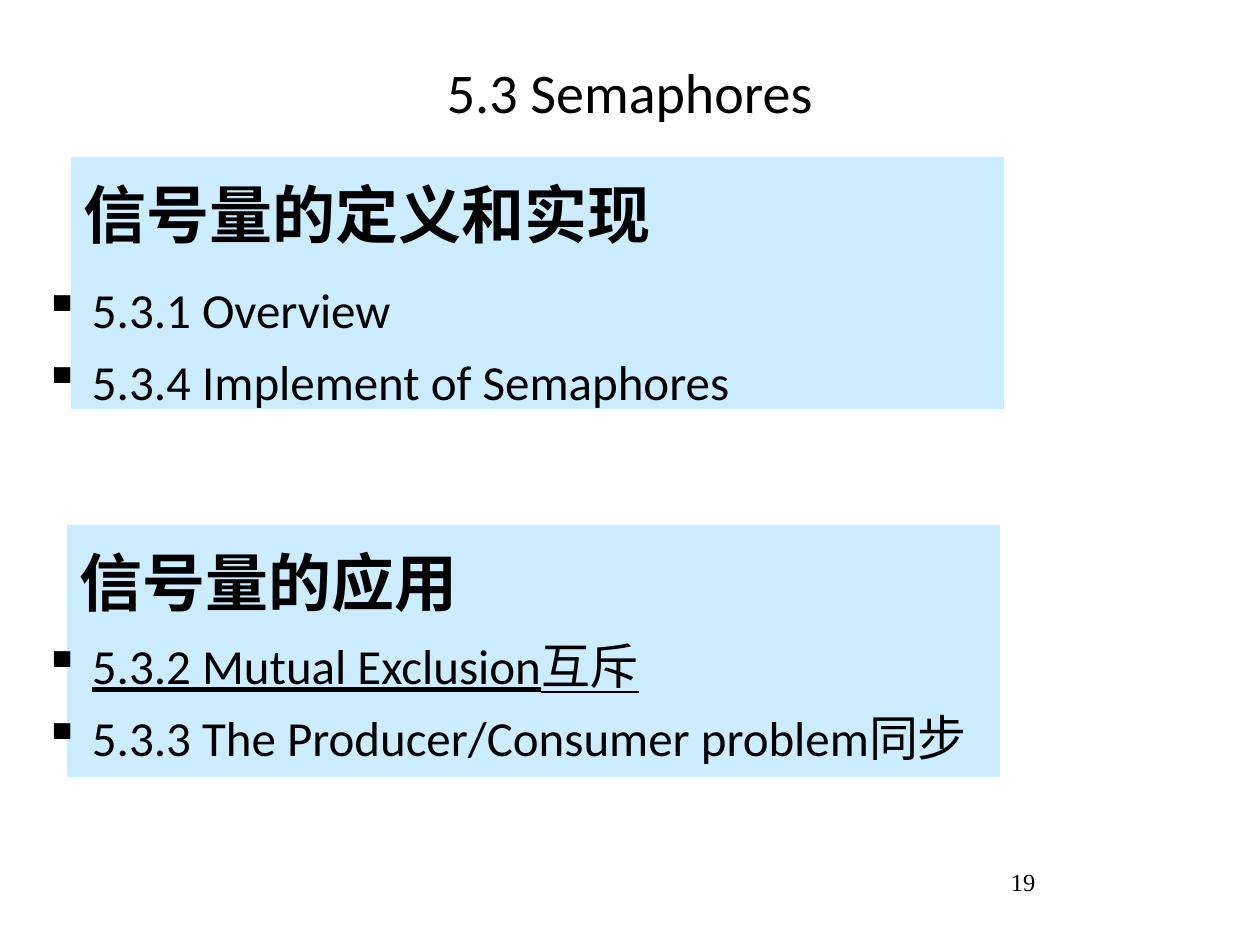
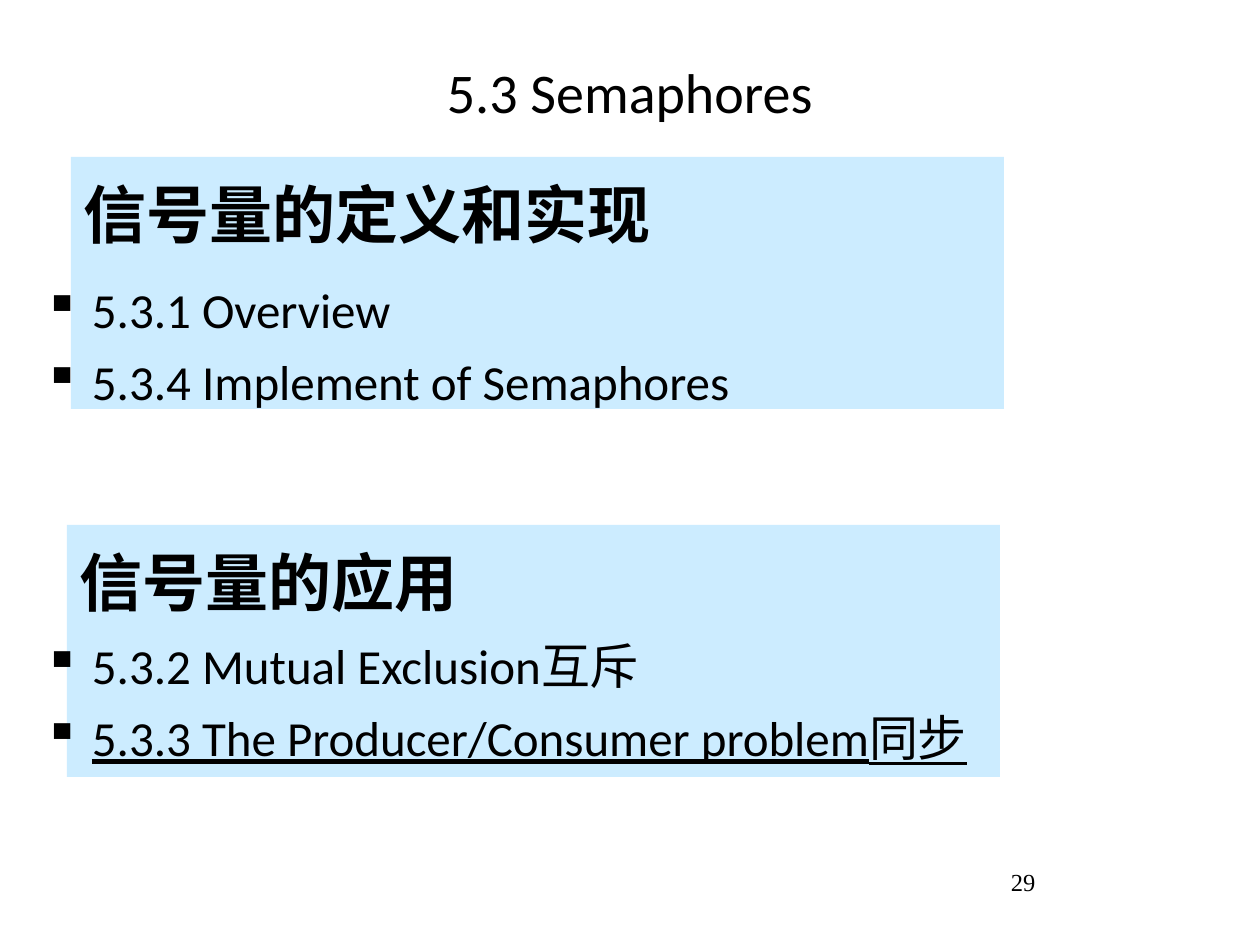
from lxml import etree
from pptx import Presentation
from pptx.dml.color import RGBColor
from pptx.enum.shapes import MSO_SHAPE
from pptx.enum.text import MSO_ANCHOR, PP_ALIGN
from pptx.oxml.ns import qn
from pptx.util import Emu, Pt

RECTANGLE = MSO_SHAPE.RECTANGLE
TOP, MIDDLE = MSO_ANCHOR.TOP, MSO_ANCHOR.MIDDLE
LEFT, CENTER = PP_ALIGN.LEFT, PP_ALIGN.CENTER

PX_PER_INCH = 126
COLORS = {"text": "000000", "panel": "CCECFF"}
BULLET, BULLET_INDENT = "▪", 48

TITLE_FONT = {"name": "Calibri", "size": Pt(32)}
HEADING_FONT = {"name": "Calibri", "size": Pt(36), "bold": True}
ITEM_FONT = {"name": "Calibri", "size": Pt(28)}
NUMBER_FONT = {"name": "Times New Roman", "size": Pt(14)}

TITLE = "5.3 Semaphores"
TITLE_BOX = (0, 38, 1260, 107)
NUMBER_BOX = (998, 861, 262, 63)
PANEL_SIZE = (933, 252)
LIST_LEFT, LIST_WIDTH, LIST_HEIGHT = 31, 969, 131
SECTIONS = [
    {"heading": "信号量的定义和实现", "corner": (71, 157), "list_offset": 122,
     "items": ["5.3.1 Overview", "5.3.4 Implement of Semaphores"]},
    {"heading": "信号量的应用", "corner": (67, 525), "list_offset": 110,
     "items": ["5.3.2 Mutual Exclusion互斥",
               "5.3.3 The Producer/Consumer problem同步"]},
]
PAGES = [("19", "5.3.2 Mutual Exclusion互斥"),
         ("29", "5.3.3 The Producer/Consumer problem同步")]


def px(length):
    """Turn a length in px into EMU."""
    return Emu(round(length * 914400 / PX_PER_INCH))


def set_values(target, values):
    """Set each named attribute of the target."""
    for name, value in values.items():
        setattr(target, name, value)


def format_frame(frame, anchor=TOP, top=6):
    """Set wrapping, anchor and insets of a text frame."""
    set_values(frame, {"word_wrap": True, "vertical_anchor": anchor,
                       "margin_left": px(13), "margin_right": px(13),
                       "margin_top": px(top), "margin_bottom": px(top)})


def write(para, text, font, **layout):
    """Write one formatted line of text into a paragraph."""
    set_values(para, layout)
    span = para.add_run()
    span.text = text
    set_values(span.font, font)
    span.font.color.rgb = RGBColor.from_string(COLORS["text"])


def add_label(page, box, text, font, anchor=TOP, alignment=LEFT):
    """Add a text box that holds a single line."""
    frame = page.shapes.add_textbox(*map(px, box)).text_frame
    format_frame(frame, anchor)
    write(frame.paragraphs[0], text, font, alignment=alignment)


def add_bullet(para):
    """Give a paragraph a hanging square bullet."""
    properties = para._p.get_or_add_pPr()
    properties.set("marL", str(px(BULLET_INDENT)))
    properties.set("indent", str(px(-BULLET_INDENT)))
    color = etree.SubElement(properties, qn("a:buClr"))
    etree.SubElement(color, qn("a:srgbClr"), val=COLORS["text"])
    etree.SubElement(properties, qn("a:buChar"), char=BULLET)


def add_panel(page, box, heading):
    """Add a tinted panel with its heading at the top."""
    panel = page.shapes.add_shape(RECTANGLE, *map(px, box))
    panel.shadow.inherit = False
    panel.fill.solid()
    panel.fill.fore_color.rgb = RGBColor.from_string(COLORS["panel"])
    panel.line.fill.background()
    format_frame(panel.text_frame, top=17)
    write(panel.text_frame.paragraphs[0], heading, HEADING_FONT,
          alignment=LEFT, line_spacing=Pt(44))


def add_list(page, box, items, current):
    """Add a bulleted list and underline the current item."""
    frame = page.shapes.add_textbox(*map(px, box)).text_frame
    format_frame(frame, top=0)
    for index, item in enumerate(items):
        para = frame.add_paragraph() if index else frame.paragraphs[0]
        add_bullet(para)
        write(para, item, {**ITEM_FONT, "underline": item == current},
              line_spacing=Pt(34), space_before=Pt(7 if index else 0))


def add_section(page, section, current):
    """Add a panel and the list that lies over it."""
    left, top = section["corner"]
    add_panel(page, (left, top, *PANEL_SIZE), section["heading"])
    list_box = (LIST_LEFT, top + section["list_offset"], LIST_WIDTH, LIST_HEIGHT)
    add_list(page, list_box, section["items"], current)


def add_outline_page(deck, number, current):
    """Add an outline slide with the current item marked."""
    page = deck.slides.add_slide(deck.slide_layouts[6])
    for section in SECTIONS:
        add_section(page, section, current)
    add_label(page, TITLE_BOX, TITLE, TITLE_FONT, MIDDLE, CENTER)
    add_label(page, NUMBER_BOX, number, NUMBER_FONT)


def main():
    """Build and save the deck."""
    deck = Presentation()
    deck.slide_width, deck.slide_height = px(1260), px(945)
    for number, current in PAGES:
        add_outline_page(deck, number, current)
    deck.save("out.pptx")


if __name__ == "__main__":
    main()
